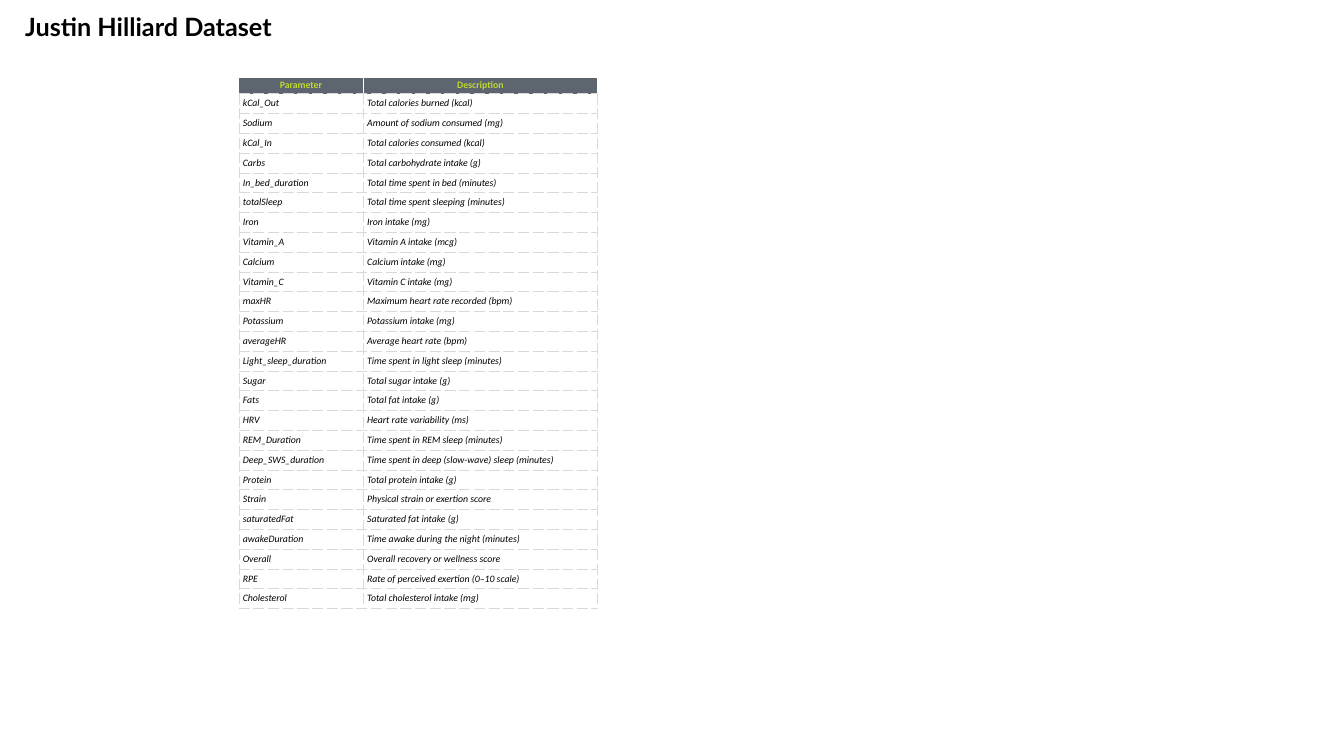
from dataclasses import dataclass

from lxml.etree import SubElement
from pptx import Presentation
from pptx.dml.color import RGBColor
from pptx.enum.text import MSO_ANCHOR, PP_ALIGN
from pptx.oxml.ns import qn
from pptx.util import Inches, Pt


@dataclass(frozen=True)
class Theme:
    title_font: str = "Lato"
    table_font: str = "Calibri"
    title_size: float = 18
    table_size: float = 7
    ink: str = "000000"
    paper: str = "FFFFFF"
    header_fill: str = "5D666F"
    header_ink: str = "BFD630"
    grid_line: tuple = ("D9D9D9", 0.5, "sysDash")
    header_line: tuple = ("FFFFFF", 1, "solid")


class SlideBuilder:
    """Places elements on a grid of 160 columns by 90 rows."""

    def __init__(self, presentation, theme):
        self.theme = theme
        self.column = presentation.slide_width / 160
        self.row = presentation.slide_height / 90
        self.slide = presentation.slides.add_slide(presentation.slide_layouts[5])

    def across(self, columns):
        return round(columns * self.column)

    def down(self, rows):
        return round(rows * self.row)

    def style(self, paragraph, font_name, size, color, bold=False, italic=False):
        for run in paragraph.runs:
            font = run.font
            font.name, font.size = font_name, Pt(size)
            font.bold, font.italic = bold, italic
            font.color.rgb = RGBColor.from_string(color)

    def title(self, text, left, top, width, height):
        shape = self.slide.shapes.title
        shape.left, shape.top = self.across(left), self.down(top)
        shape.width, shape.height = self.across(width), self.down(height)
        text_frame = shape.text_frame
        text_frame.text = text
        text_frame.word_wrap = True
        text_frame.vertical_anchor = MSO_ANCHOR.TOP
        paragraph = text_frame.paragraphs[0]
        paragraph.alignment = PP_ALIGN.LEFT
        paragraph.line_spacing = 1.0
        self.style(paragraph, self.theme.title_font, self.theme.title_size,
                   self.theme.ink, bold=True)

    def borders(self, cell, edges):
        properties = cell._tc.get_or_add_tcPr()
        for side, (color, width, dash) in zip("LRTB", edges):
            line = SubElement(properties, qn(f"a:ln{side}"), w=str(Pt(width)))
            fill = SubElement(line, qn("a:solidFill"))
            SubElement(fill, qn("a:srgbClr"), val=color)
            SubElement(line, qn("a:prstDash"), val=dash)

    def cell(self, cell, text, is_header):
        theme = self.theme
        side, end = (0, 0) if is_header else (0.04, 0.02)
        cell.margin_left = cell.margin_right = Inches(side)
        cell.margin_top = cell.margin_bottom = Inches(end)
        cell.vertical_anchor = MSO_ANCHOR.MIDDLE
        outer = theme.header_line if is_header else theme.grid_line
        self.borders(cell, [outer, outer, outer, theme.grid_line])
        cell.fill.solid()
        cell.fill.fore_color.rgb = RGBColor.from_string(
            theme.header_fill if is_header else theme.paper)
        cell.text_frame.text = text
        paragraph = cell.text_frame.paragraphs[0]
        paragraph.alignment = PP_ALIGN.CENTER if is_header else PP_ALIGN.LEFT
        self.style(paragraph, theme.table_font, theme.table_size,
                   theme.header_ink if is_header else theme.ink,
                   bold=is_header, italic=not is_header)

    def table(self, records, left, top, widths, header_height, row_height):
        heights = [header_height] + [row_height] * (len(records) - 1)
        table = self.slide.shapes.add_table(
            len(records), len(widths), self.across(left), self.down(top),
            self.across(sum(widths)), self.down(sum(heights))).table
        table.horz_banding = False
        for column, width in zip(table.columns, widths):
            column.width = self.across(width)
        for index, (record, height) in enumerate(zip(records, heights)):
            table.rows[index].height = self.down(height)
            for position, text in enumerate(record):
                self.cell(table.cell(index, position), text, index == 0)


PARAMETERS = [
    ("Parameter", "Description"),
    ("kCal_Out", "Total calories burned (kcal)"),
    ("Sodium", "Amount of sodium consumed (mg)"),
    ("kCal_In", "Total calories consumed (kcal)"),
    ("Carbs", "Total carbohydrate intake (g)"),
    ("In_bed_duration", "Total time spent in bed (minutes)"),
    ("totalSleep", "Total time spent sleeping (minutes)"),
    ("Iron", "Iron intake (mg)"),
    ("Vitamin_A", "Vitamin A intake (mcg)"),
    ("Calcium", "Calcium intake (mg)"),
    ("Vitamin_C", "Vitamin C intake (mg)"),
    ("maxHR", "Maximum heart rate recorded (bpm)"),
    ("Potassium", "Potassium intake (mg)"),
    ("averageHR", "Average heart rate (bpm)"),
    ("Light_sleep_duration", "Time spent in light sleep (minutes)"),
    ("Sugar", "Total sugar intake (g)"),
    ("Fats", "Total fat intake (g)"),
    ("HRV", "Heart rate variability (ms)"),
    ("REM_Duration", "Time spent in REM sleep (minutes)"),
    ("Deep_SWS_duration", "Time spent in deep (slow-wave) sleep (minutes)"),
    ("Protein", "Total protein intake (g)"),
    ("Strain", "Physical strain or exertion score"),
    ("saturatedFat", "Saturated fat intake (g)"),
    ("awakeDuration", "Time awake during the night (minutes)"),
    ("Overall", "Overall recovery or wellness score"),
    ("RPE", "Rate of perceived exertion (0–10 scale)"),
    ("Cholesterol", "Total cholesterol intake (mg)"),
]


def main():
    presentation = Presentation()
    presentation.slide_width, presentation.slide_height = Inches(13.33), Inches(7.5)
    builder = SlideBuilder(presentation, Theme())

    # Parameter table
    builder.table(PARAMETERS, left=28.44, top=9.24, widths=(14.8, 27.9),
                  header_height=1.92, row_height=2.36)

    # Slide title
    builder.title("Justin Hilliard Dataset", left=1.8, top=0.72, width=35.5, height=4.8)

    presentation.save("out.pptx")


if __name__ == "__main__":
    main()
